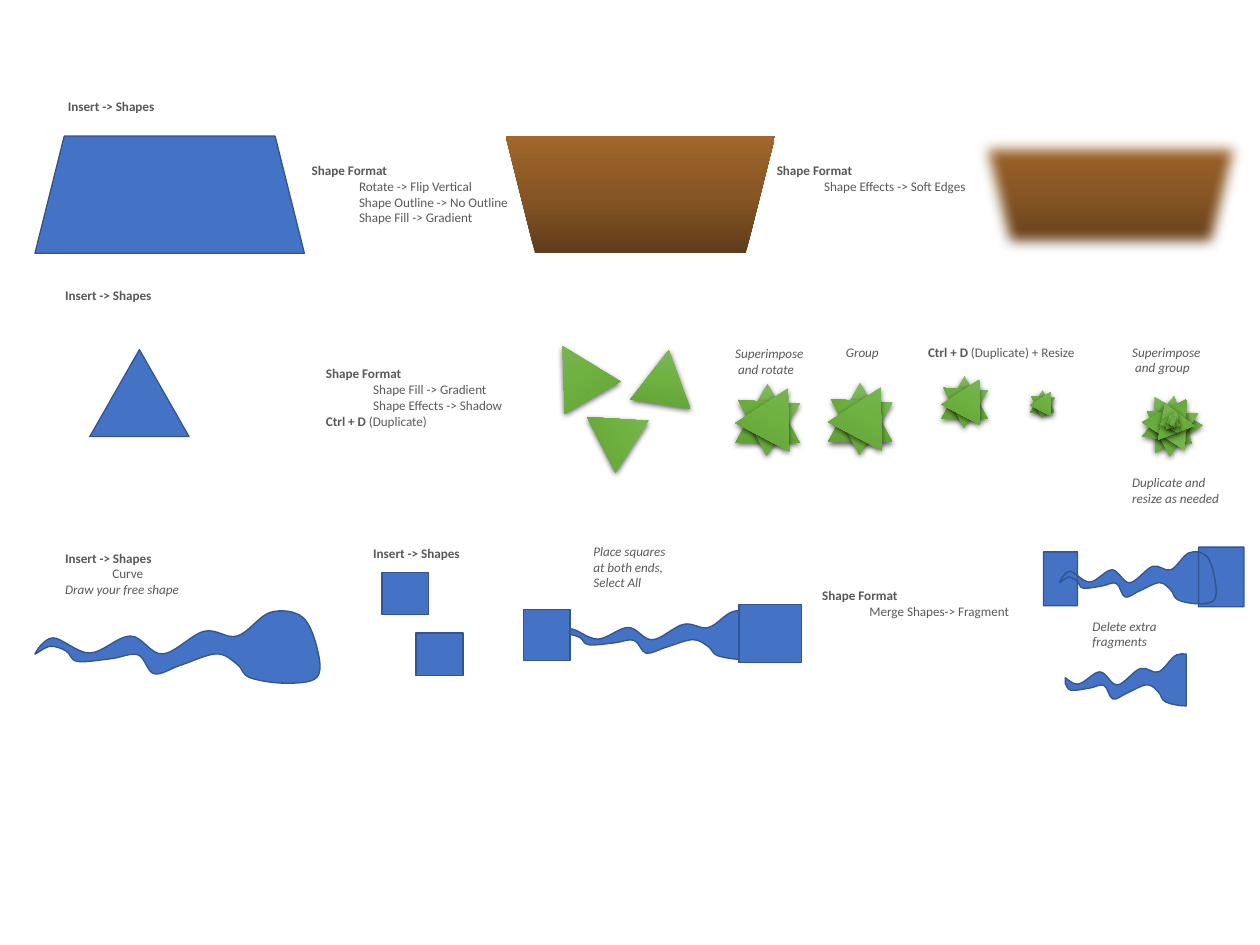
from copy import deepcopy

from lxml.etree import SubElement as Sub
from pptx import Presentation
from pptx.dml.color import RGBColor as Rgb
from pptx.enum.shapes import MSO_SHAPE as Kind
from pptx.enum.text import MSO_AUTO_SIZE as Fit
from pptx.oxml import parse_xml
from pptx.oxml.ns import nsdecls, qn
from pptx.util import Inches, Pt

BROWN = ("5F3C1A", "875625", "A1662B")
GREEN = ("81B861", "6FB242", "62A336")
SOFT = '<a:softEdge {} rad="127000"/>'
SHADE = ('<a:outerShdw {} blurRad="57150" dist="19050" dir="5400000" algn="ctr" rotWithShape="0">'
         '<a:srgbClr val="000000"><a:alpha val="63000"/></a:srgbClr></a:outerShdw>')
VINE = [(0, 0.44), (0.19, 0.27), (0.58, 0.43), (1.01, 0.25), (1.35, 0.44), (1.79, 0.2),
        (2.14, 0.25), (2.49, 0), (2.83, 0.05), (2.99, 0.4), (2.98, 0.69), (2.65, 0.75),
        (2.27, 0.69), (2.14, 0.55), (1.92, 0.44), (1.54, 0.56), (1.26, 0.65), (1.09, 0.45),
        (0.81, 0.49), (0.45, 0.52), (0.33, 0.41), (0.16, 0.36)]
STAR = [(0, 0, 0.68, 0.63, 0), (0.1, 0.06, 0.66, 0.56, 63), (0.1, 0.02, 0.64, 0.58, 27.8)]
TRIO = [(5.77, 3.62, 0.68, 0.63, 329.8), (6.71, 3.7, 0.64, 0.58, 8.8),
        (6.28, 4.3, 0.66, 0.56, 63)]
BLOOM = [(12.06, 4.17, 0.57, 0.51, 329.8), (12.12, 4.19, 0.53, 0.47, 8.8),
         (12.2, 4.25, 0.53, 0.47, 63), (12.16, 4.32, 0.53, 0.47, 152.6),
         (12.18, 4.26, 0.41, 0.33, 339.1), (12.3, 4.35, 0.22, 0.19, 25.1),
         (12.32, 4.39, 0.15, 0.13, 346.4), (12.36, 4.41, 0.1, 0.09, 34.8),
         (12.38, 4.44, 0.06, 0.05, 70.3), (12.38, 4.45, 0.04, 0.04, 350.4)]
NOTES = [
    (0.62, 0.99, 2.36, ["*Insert -> Shapes"]),
    (0.59, 2.99, 2.36, ["*Insert -> Shapes"]),
    (3.85, 5.72, 2.61, ["*Insert -> Shapes"]),
    (0.59, 5.77, 2.61, ["*Insert -> Shapes", ">Curve", "/Draw your free shape"]),
    (3.2, 1.67, 2.36, ["*Shape Format", ">Rotate -> Flip Vertical",
                       ">Shape Outline -> No Outline", ">Shape Fill -> Gradient"]),
    (8.12, 1.67, 2.36, ["*Shape Format", ">Shape Effects -> Soft Edges"]),
    (3.35, 3.82, 2.36, ["*Shape Format", ">Shape Fill -> Gradient",
                        ">Shape Effects -> Shadow", "*Ctrl + D |(Duplicate)"]),
    (8.6, 6.17, 2.36, ["*Shape Format", ">Merge Shapes-> Fragment"]),
    (9.72, 3.6, 2.36, ["*Ctrl + D |(Duplicate) + Resize"]),
    (7.68, 3.61, 1.03, ["/Superimpose", "/ and rotate"]),
    (8.85, 3.6, 1.03, ["/Group"]),
    (11.88, 3.59, 1.03, ["/Superimpose", "/ and group"]),
    (11.88, 4.97, 1.13, ["/Duplicate and resize as needed"]),
    (6.18, 5.7, 1.03, ["/Place squares at both ends,", "/Select All"]),
    (11.46, 6.49, 1.03, ["/Delete extra fragments"]),
]


def tint(code):
    """Turn a hex string into a colour."""
    return Rgb.from_string(code)


def vine(left, top, wide=1, high=1):
    """List the Bezier arcs of a smooth closed curve through the scaled knots."""
    knots = [(left + x * wide, top + y * high) for x, y in VINE]
    arcs = []
    for n in range(len(knots)):
        a, b, c, d = (knots[(n + k) % len(knots)] for k in (-1, 0, 1, 2))
        out = tuple(q + (r - p) / 6 for p, q, r in zip(a, b, c))
        back = tuple(q - (r - p) / 6 for p, q, r in zip(b, c, d))
        arcs.append((b, out, back, c))
    return arcs


def split(arc, t):
    """Cut a Bezier arc in two."""
    rows = [list(arc)]
    while len(rows[-1]) > 1:
        row = rows[-1]
        rows.append([tuple(p + (q - p) * t for p, q in zip(a, b))
                     for a, b in zip(row, row[1:])])
    return tuple(row[0] for row in rows), tuple(row[-1] for row in rows[::-1])


def clip(arcs, edge, side):
    """Keep the arcs on one side of an upright edge, starting at the cut."""
    kept, start = [], 0
    for arc in arcs:
        ins = [(dot[0] - edge) * side >= 0 for dot in (arc[0], arc[3])]
        if all(ins):
            kept.append(arc)
        elif any(ins):
            low, high = 0, 1
            for _ in range(40):
                mid = (low + high) / 2
                inside = (split(arc, mid)[0][3][0] - edge) * side >= 0
                low, high = (mid, high) if inside == ins[0] else (low, mid)
            if ins[1]:
                start = len(kept)
            kept.append(split(arc, low)[ins[1]])
    return kept[start:] + kept[:start]


class Deck:
    """Hold the style and the current slide."""

    font = {"name": "Calibri", "size": Pt(10)}
    ink, blue, rim = "595959", "4472C4", "325491"
    cols, rows = 13.33, 10

    def __init__(self):
        """Open a blank slide on the grid."""
        self.show = Presentation()
        self.show.slide_width, self.show.slide_height = Inches(self.cols), Inches(self.rows)
        self.slide = self.show.slides.add_slide(self.show.slide_layouts[6])
        self.cell = self.show.slide_width / self.cols

    def span(self, *units):
        """Turn grid units into lengths."""
        return [round(n * self.cell) for n in units]

    def plain(self, shape):
        """Give a shape the flat blue look."""
        shape.shadow.inherit = False
        shape.fill.solid()
        shape.fill.fore_color.rgb = tint(self.blue)
        shape.line.color.rgb = tint(self.rim)
        shape.line.width = Pt(1)

    def block(self, kind, box, home=None, adj=None):
        """Add a blue preset shape."""
        shape = (home or self.slide).shapes.add_shape(kind, *self.span(*box))
        if adj is not None:
            shape.adjustments[0] = adj
        self.plain(shape)
        return shape

    def blend(self, kind, box, turn, hues, mark=None, home=None):
        """Add a turned shape with a gradient and an effect."""
        shape = self.block(kind, box, home)
        shape.rotation = turn
        shape.line.fill.background()
        shape.fill.gradient()
        shape.fill.gradient_angle = 270
        first = shape.element.spPr.find(".//" + qn("a:gs"))
        first.addnext(deepcopy(first))
        for stop, hue, spot in zip(shape.fill.gradient_stops, hues, (0, 0.5, 1)):
            stop.color.rgb, stop.position = tint(hue), spot
        if mark:
            glow = shape.element.spPr.find(qn("a:effectLst"))
            glow.append(parse_xml(mark.format(nsdecls("a"))))

    def leaves(self, parts, home=None):
        """Add green leaves, each with its own turn."""
        for *box, turn in parts:
            self.blend(Kind.ISOSCELES_TRIANGLE, box, turn, GREEN, SHADE, home)

    def group(self):
        """Add an empty group."""
        return self.slide.shapes.add_group_shape()

    def free(self, arcs, dots=()):
        """Add a blue closed outline of arcs, then straight lines to dots."""
        ends, bends = [arcs[0][0]], {}
        for arc in arcs:
            if max(abs(p - q) for p, q in zip(arc[0], ends[-1])) > 0.001:
                ends.append(arc[0])
            bends[len(ends) - 1] = arc[1:]
            ends.append(arc[3])
        ends = [self.span(*dot) for dot in ends + list(dots)]
        pen = self.slide.shapes.build_freeform(*ends[0])
        pen.add_line_segments(ends[1:], close=True)
        shape = pen.convert_to_shape()
        lines = shape.element.spPr.findall(".//" + qn("a:lnTo"))
        for n, arc in bends.items():
            lines[n].tag
            curve = parse_xml(f"<a:cubicBezTo {nsdecls('a')}/>")
            for dot in arc:
                x, y = self.span(*dot)
                Sub(curve, qn("a:pt"), x=str(x - shape.left), y=str(y - shape.top))
            lines[n].getparent().replace(lines[n], curve)
        self.plain(shape)

    def note(self, left, top, wide, lines):
        """Add text; * is bold, / italic, > indented, | ends the bold."""
        high = 0.1 + 0.17 * len(lines)
        frame = self.slide.shapes.add_textbox(*self.span(left, top, wide, high)).text_frame
        frame.word_wrap, frame.auto_size = True, Fit.SHAPE_TO_FIT_TEXT
        for n, line in enumerate(lines):
            para = frame.add_paragraph() if n else frame.paragraphs[0]
            mark, words = line[0], line[1:].split("|")
            if mark == ">":
                para._p.get_or_add_pPr().set("marL", str(Inches(0.5)))
            for k, word in enumerate(words):
                run = para.add_run()
                run.text = word
                look = {**self.font, "bold": mark == "*" and k == 0, "italic": mark == "/"}
                for key, value in look.items():
                    setattr(run.font, key, value)
                run.font.color.rgb = tint(self.ink)


def main():
    """Build the slide and save it."""
    deck = Deck()
    deck.blend(Kind.TRAPEZOID, (5.35, 1.44, 2.85, 1.24), 180, BROWN)
    deck.block(Kind.TRAPEZOID, (0.37, 1.44, 2.85, 1.24))
    deck.blend(Kind.TRAPEZOID, (10.25, 1.44, 3, 1.24), 180, BROWN, SOFT)

    deck.leaves(TRIO)
    deck.leaves(BLOOM, deck.group())
    deck.block(Kind.ISOSCELES_TRIANGLE, (0.95, 3.7, 1.05, 0.92))
    for left, top, size, bound in ((7.78, 4.06, 1, False), (8.76, 4.05, 1, True),
                                   (9.96, 3.98, 0.72, True), (10.9, 4.13, 0.38, True)):
        star = [(left + x * size, top + y * size, w * size, h * size, turn)
                for x, y, w, h, turn in STAR]
        deck.leaves(star, deck.group() if bound else None)

    deck.free(vine(0.37, 6.48))
    deck.free(vine(5.89, 6.47, 0.75, 0.68))
    for box in ((4.04, 6.06, 0.49, 0.44), (4.4, 6.7, 0.5, 0.45),
                (5.54, 6.45, 0.49, 0.54), (7.82, 6.4, 0.66, 0.61)):
        deck.block(Kind.TRAPEZOID, box, adj=0)

    near, far = 11.4, 12.68
    whole = vine(11.21, 5.85, 0.55, 0.72)
    tail, head = clip(whole, near, -1), clip(whole, far, 1)
    body = clip(clip(whole, near, 1), far, -1)
    deck.free(head)
    deck.free(tail)
    deck.free(head, [(far, 6.42), (13.16, 6.42), (13.16, 5.79), (far, 5.79)])
    deck.free(tail, [(near, 5.84), (11.04, 5.84), (11.04, 6.41), (near, 6.41)])
    deck.free(body)
    deck.free([tuple((x - 0.13, y + 1.08) for x, y in arc) for arc in body])

    for note in NOTES:
        deck.note(*note)
    deck.show.save("out.pptx")


if __name__ == "__main__":
    main()
